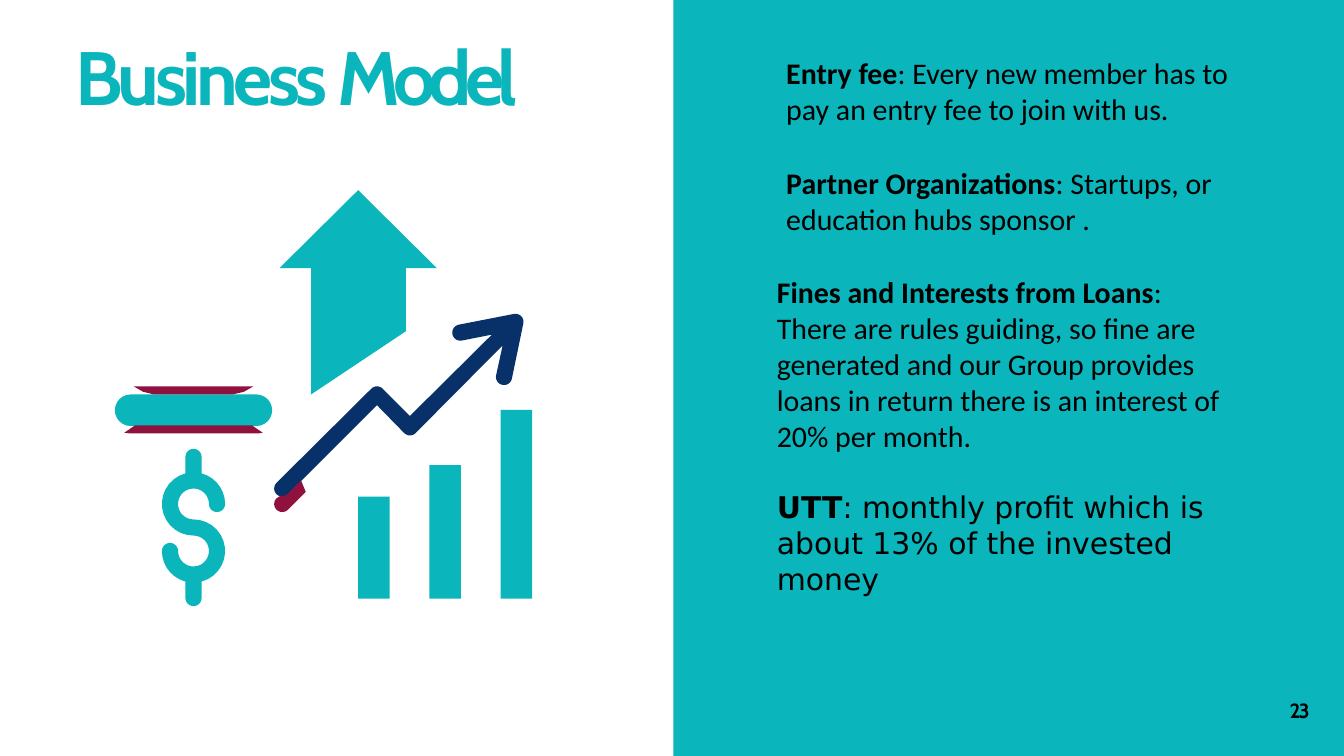
"""Build the Business Model slide with its growth illustration and income notes."""
from math import ceil, cos, radians, sin

from pptx import Presentation
from pptx import util as u
from pptx.dml.color import RGBColor
from pptx.enum import shapes, text

TEAL = RGBColor(0x0A, 0xB5, 0xBC)
NAVY = RGBColor(0x08, 0x31, 0x69)
CRIMSON = RGBColor(0x8F, 0x11, 0x3D)
BLACK = RGBColor(0, 0, 0)

WIDTH, HEIGHT = 20, 11.25
PANEL_LEFT = 10.02
BAR_HEIGHTS = (1.52, 1.99, 2.81)
BAR_LEFT, BAR_WIDTH, BAR_STEP, BAR_BASE = 5.33, 0.47, 1.06, 8.91
CAP = 0.12

TITLE = [("Business", -4.7), (" Model", -7.3)]
PAGE_NUMBER = [("23", -1.9)]
INCOME = [
    ("Entry fee", ": Every new member has to pay an entry fee to join with us.",
     "Calibri", 0.15, 0),
    ("Partner Organizations", ": Startups, or education hubs sponsor .",
     "Calibri", 0.15, 41),
    ("Fines and Interests from Loans",
     ": There are rules guiding, so fine are generated and our Group provides "
     "loans in return there is an interest of 20% per month.",
     "Calibri", 0.01, 39.8),
    ("UTT", ": monthly profit which is about 13% of the invested money",
     "DejaVu Sans", 0.01, 38.5),
]

DOLLAR = [
    (2.88, 8.9, CAP, 0, 180), (2.88, 8.2, 0.47, 105, 180),
    (2.53, 8.2, CAP, 180, 360), (2.88, 8.2, 0.23, 180, -90),
    (2.88, 7.5, 0.47, 90, 255), (2.88, 6.8, CAP, 180, 360),
    (2.88, 7.5, 0.47, 285, 360), (3.23, 7.5, CAP, 0, 180),
    (2.88, 7.5, 0.23, 0, -270), (2.88, 8.2, 0.47, -90, 75),
]
UP_ARROW = [(4.63, 5.87), (4.63, 3.99), (4.16, 3.99), (5.33, 2.83),
            (6.5, 3.99), (6.04, 3.99), (6.04, 4.93)]
TREND_ARROW = [
    (4.2, 7.27, CAP, 45, 225), (5.61, 5.87, CAP, 225, 315), (6.1, 6.19),
    (7.32, 4.98), (6.85, 4.95, CAP, 80, 260), (7.67, 4.79, CAP, 260, 370),
    (7.5, 5.61, CAP, 10, 190), (7.48, 5.14), (6.1, 6.36, CAP, 45, 135),
    (5.61, 6.03),
]
UPPER_RIM = [(1.99, 5.75), (3.77, 5.75), (3.63, 5.83), (3.46, 5.87),
             (2.29, 5.87), (2.13, 5.83)]
LOWER_RIM = [(2.01, 6.33), (3.75, 6.33), (3.91, 6.44), (3.84, 6.45),
             (1.94, 6.45), (1.85, 6.44)]
TREND_SHADE = [(4.2, 7.5, CAP, 45, 225), (4.17, 7.38), (4.24, 7.38),
               (4.28, 7.35), (4.48, 7.15), (4.55, 7.32)]
OUTLINES = [(DOLLAR, TEAL), (UP_ARROW, TEAL), (TREND_ARROW, NAVY),
            (UPPER_RIM, CRIMSON), (LOWER_RIM, CRIMSON), (TREND_SHADE, CRIMSON)]


def paint(shape, color):
    shape.shadow.inherit = False
    shape.fill.solid()
    shape.fill.fore_color.rgb = color
    shape.line.fill.background()


def add_block(slide, preset, box, color):
    block = slide.shapes.add_shape(preset, *map(u.Inches, box))
    paint(block, color)
    return block


def trace(outline):
    for x, y, *arc in outline:
        if not arc:
            yield u.Inches(x), u.Inches(y)
            continue
        radius, start, end = arc
        steps = ceil(abs(end - start) / 12)
        for i in range(steps + 1):
            angle = radians(start + (end - start) * i / steps)
            yield (u.Inches(x + radius * cos(angle)),
                   u.Inches(y + radius * sin(angle)))


def add_outline(slide, outline, color):
    first, *rest = trace(outline)
    builder = slide.shapes.build_freeform(*first)
    builder.add_line_segments(rest, close=True)
    paint(builder.convert_to_shape(), color)


def add_text_frame(slide, box):
    frame = slide.shapes.add_textbox(*map(u.Inches, box)).text_frame
    frame.word_wrap = True
    frame.vertical_anchor = text.MSO_ANCHOR.TOP
    frame.margin_left = frame.margin_right = frame.margin_bottom = 0
    frame.margin_top = u.Inches(0.02)
    return frame


def add_run(paragraph, words, font, size, color, bold, spacing=0):
    run = paragraph.add_run()
    run.text = words
    run.font.name, run.font.size, run.font.bold = font, u.Pt(size), bold
    run.font.color.rgb = color
    if spacing:
        run.font._element.set("spc", str(round(spacing * 100)))


def indent(paragraph, inches):
    paragraph._p.get_or_add_pPr().set("marL", str(u.Inches(inches)))


def add_heading(slide, box, parts, size, color):
    line = add_text_frame(slide, box).paragraphs[0]
    indent(line, 0.01)
    for words, spacing in parts:
        add_run(line, words, "Cabin", size, color, True, spacing)


def add_income(slide):
    frame = add_text_frame(slide, (11.55, 0.8, 6.75, 9.22))
    for i, (source, detail, font, margin, gap) in enumerate(INCOME):
        item = frame.add_paragraph() if i else frame.paragraphs[0]
        indent(item, margin)
        if gap:
            item.space_before = u.Pt(gap)
        add_run(item, source, font, 32, BLACK, True)
        add_run(item, detail, font, 32, BLACK, False)


def main():
    deck = Presentation()
    deck.slide_width, deck.slide_height = u.Inches(WIDTH), u.Inches(HEIGHT)
    slide = deck.slides.add_slide(deck.slide_layouts[6])
    preset = shapes.MSO_SHAPE

    add_block(slide, preset.RECTANGLE,
              (PANEL_LEFT, 0, WIDTH - PANEL_LEFT, HEIGHT), TEAL)
    coin = add_block(slide, preset.ROUNDED_RECTANGLE,
                     (1.71, 5.87, 2.34, 0.47), TEAL)
    coin.adjustments[0] = 0.5
    for i, height in enumerate(BAR_HEIGHTS):
        add_block(slide, preset.RECTANGLE,
                  (BAR_LEFT + i * BAR_STEP, BAR_BASE - height, BAR_WIDTH, height),
                  TEAL)
    for outline, color in OUTLINES:
        add_outline(slide, outline, color)

    add_heading(slide, (1.11, 0.43, 7.66, 1.38), TITLE, 81, TEAL)
    add_heading(slide, (19.18, 10.37, 0.36, 0.39), PAGE_NUMBER, 22, BLACK)
    add_income(slide)
    deck.save("out.pptx")


if __name__ == "__main__":
    main()
